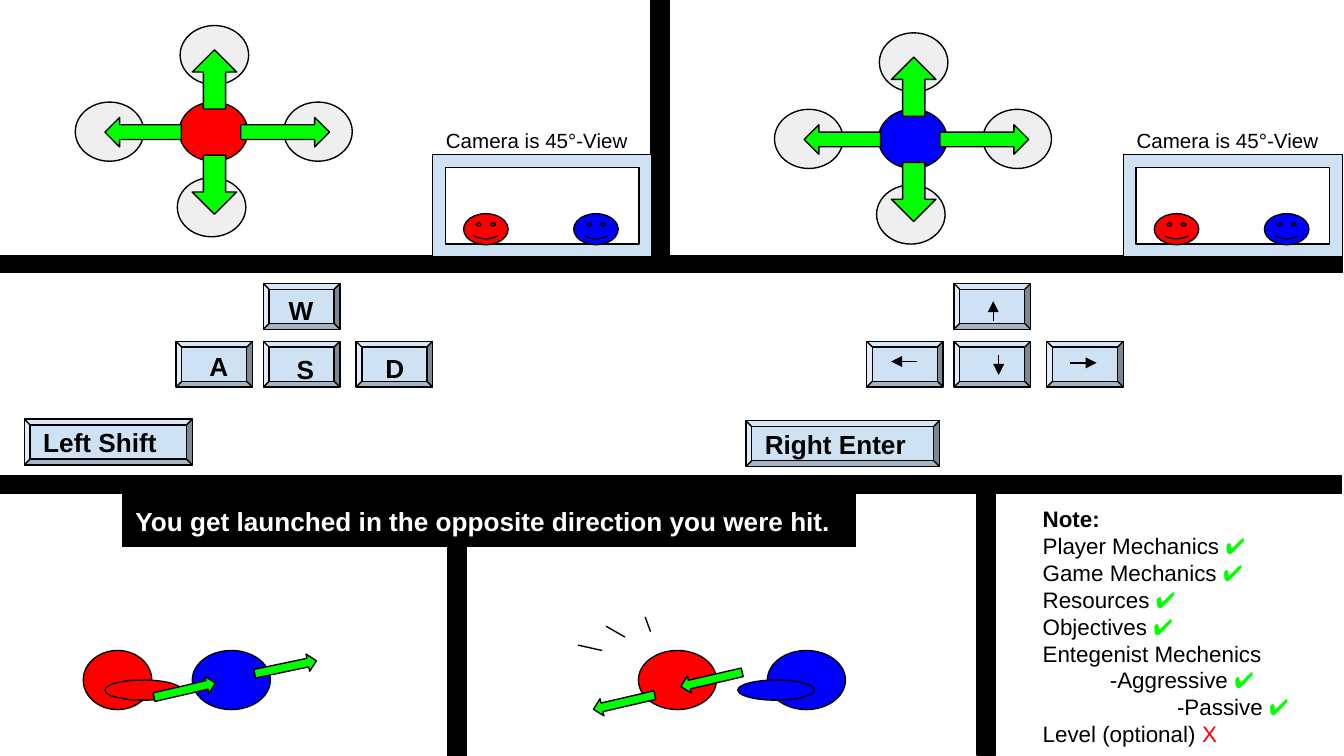
from dataclasses import dataclass
from typing import NamedTuple

from lxml import etree
from pptx import Presentation
from pptx.dml.color import RGBColor
from pptx.enum.shapes import MSO_CONNECTOR, MSO_SHAPE
from pptx.enum.text import MSO_ANCHOR, PP_ALIGN
from pptx.oxml.ns import qn
from pptx.util import Pt

RECTANGLE, OVAL, BEVEL = MSO_SHAPE.RECTANGLE, MSO_SHAPE.OVAL, MSO_SHAPE.BEVEL
FRAME, SMILEY = MSO_SHAPE.FRAME, MSO_SHAPE.SMILEY_FACE
UP, DOWN = MSO_SHAPE.UP_ARROW, MSO_SHAPE.DOWN_ARROW
LEFT, RIGHT = MSO_SHAPE.LEFT_ARROW, MSO_SHAPE.RIGHT_ARROW
STRAIGHT = MSO_CONNECTOR.STRAIGHT
ALIGN_LEFT = PP_ALIGN.LEFT
TOP, MIDDLE = MSO_ANCHOR.TOP, MSO_ANCHOR.MIDDLE


@dataclass(frozen=True)
class Theme:
    font: str = "Arial"
    black: str = "000000"
    white: str = "FFFFFF"
    red: str = "FF0000"
    blue: str = "0000FF"
    green: str = "00FF00"
    gray: str = "EFEFEF"
    pale_blue: str = "CFE2F3"
    line_width: float = 0.75
    inset: float = 7.2
    caption: int = 11
    note: int = 12
    heading: int = 14


class Box(NamedTuple):
    left: float
    top: float
    width: float
    height: float

    def moved(self, x: float, y: float):
        return self._replace(left=self.left + x, top=self.top + y)


class Part(NamedTuple):
    kind: int
    box: Box
    color: str
    rotation: float = 0


class Stroke(NamedTuple):
    start: tuple
    end: tuple
    arrow: bool = False


class Label(NamedTuple):
    text: str
    box: Box


class NoteLine(NamedTuple):
    text: str
    mark: str = ""
    color: str = ""
    indent: float = 0
    bold: bool = False


THEME = Theme()
CHECK = ("✔", THEME.green)

BARS = [Box(0, 136.8, 719.3, 9.4), Box(348.5, 0, 10.1, 141),
        Box(523.4, 263.5, 10.1, 141), Box(-0.7, 254.9, 719.3, 9.4),
        Box(239.8, 264.2, 10.1, 141)]

PLAYER_SHIFT = 370
CAMERA = Box(231.8, 82.8, 117.4, 54.7)
FACES = [(307.4, THEME.blue), (248.4, THEME.red)]

KEY_WIDTH, KEY_HEIGHT = 41, 24.5
KEY_CORNERS = [(141.1, 151.9), (94.3, 182.9), (141.1, 182.9), (190.8, 182.9)]
KEY_LETTERS = [Label("W", Box(147.6, 150.5, 28, 21)), Label("A", Box(105.1, 180.7, 28, 21)),
               Label("S", Box(151.9, 182.2, 28, 21)), Label("D", Box(199.4, 181.4, 28, 24.5))]
KEY_ARROWS = [Stroke((532.1, 172.1), (532.1, 161.3), True),
              Stroke((535, 190.1), (535, 200.9), True),
              Stroke((491, 193.7), (477.4, 193.7), True),
              Stroke((573.1, 194.4), (587.5, 194.4), True)]
WIDE_KEYS = [Label("Left Shift", Box(13, 224.6, 90, 24.5)),
             Label("Right Enter", Box(399.6, 225.4, 103.7, 24.5))]

CIRCLE_WIDTH, CIRCLE_HEIGHT = 36.7, 31.7
RING_OFFSETS = [(0.5, -41), (-55.7, 0), (-1, 40.5), (56, 0)]
MOVE_ARROWS = [(DOWN, Box(7, 28.4, 23.8, 31.7)), (LEFT, Box(-39.8, 8.2, 41, 15.8)),
               (RIGHT, Box(33, 8.2, 47.5, 15.8)), (UP, Box(7, -28, 23.8, 31.7))]

BODY_TOP, FIST_TOP, BODY_WIDTH = 348.5, 364.3, 41.8
ARROW_WIDTH, ARROW_HEIGHT = 33.8, 9.4


def body(left: float, color: str, width: float = BODY_WIDTH) -> Part:
    return Part(OVAL, Box(left, BODY_TOP, width, CIRCLE_HEIGHT), color)


def fist(left: float, color: str) -> Part:
    return Part(OVAL, Box(left, FIST_TOP, 41, 10.8), color)


def hit_arrow(kind: int, left: float, top: float, rotation: float = 347) -> Part:
    return Part(kind, Box(left, top, ARROW_WIDTH, ARROW_HEIGHT), THEME.green, rotation)


FIGHT = [body(44.6, THEME.red, CIRCLE_WIDTH), fist(56.2, THEME.red), body(103, THEME.blue),
         body(411.1, THEME.blue), fist(395.3, THEME.blue), body(342, THEME.red),
         hit_arrow(RIGHT, 82.1, 365), hit_arrow(LEFT, 364.3, 359.3),
         hit_arrow(RIGHT, 136.1, 352.8, 348.2), hit_arrow(LEFT, 317.5, 371.5)]
IMPACT = [Stroke((348.5, 338.4), (345.6, 330.5)), Stroke((334.8, 341.3), (324.7, 335.5)),
          Stroke((322.6, 348.5), (309.6, 345.6))]

BANNER = Label("You get launched in the opposite direction you were hit.",
               Box(65.5, 263.5, 393.1, 29.5))
NOTE_BOX = Box(551.5, 263.5, 162.7, 140.4)
NOTES = [NoteLine("Note:", bold=True), NoteLine("Player Mechanics ", *CHECK),
         NoteLine("Game Mechanics ", *CHECK), NoteLine("Resources ", *CHECK),
         NoteLine("Objectives ", *CHECK), NoteLine("Entegenist Mechenics"),
         NoteLine("-Aggressive ", *CHECK, indent=36), NoteLine("-Passive ", *CHECK, indent=72),
         NoteLine("Level (optional) ", "X", THEME.red)]


def lengths(box: Box) -> list:
    return [Pt(value) for value in box]


def rgb(color: str) -> RGBColor:
    return RGBColor.from_string(color)


def draw_part(slide, part: Part, outlined: bool = True):
    shape = slide.shapes.add_shape(part.kind, *lengths(part.box))
    shape.shadow.inherit = False
    shape.rotation = part.rotation
    shape.fill.solid()
    shape.fill.fore_color.rgb = rgb(part.color)
    if outlined:
        shape.line.color.rgb = rgb(THEME.black)
        shape.line.width = Pt(THEME.line_width)
    else:
        shape.line.fill.background()
    return shape


def draw_stroke(slide, stroke: Stroke) -> None:
    ends = [Pt(value) for value in (*stroke.start, *stroke.end)]
    connector = slide.shapes.add_connector(STRAIGHT, *ends)
    connector.line.color.rgb = rgb(THEME.black)
    connector.line.width = Pt(THEME.line_width)
    if stroke.arrow:
        etree.SubElement(connector.line._get_or_add_ln(), qn("a:tailEnd"), type="triangle")
    etree.SubElement(connector._element.spPr, qn("a:effectLst"))


def set_frame(shape, anchor=TOP):
    margins = dict.fromkeys(("margin_left", "margin_top", "margin_right", "margin_bottom"),
                            Pt(THEME.inset))
    for name, value in {**margins, "word_wrap": True, "vertical_anchor": anchor}.items():
        setattr(shape.text_frame, name, value)
    return shape.text_frame


def add_run(paragraph, text: str, size: int, bold: bool = True, color: str = THEME.black) -> None:
    paragraph.alignment = ALIGN_LEFT
    run = paragraph.add_run()
    run.text = text
    for name, value in {"name": THEME.font, "size": Pt(size), "bold": bold}.items():
        setattr(run.font, name, value)
    run.font.color.rgb = rgb(color)


def draw_label(slide, label: Label, size: int = THEME.heading, bold: bool = True) -> None:
    shape = slide.shapes.add_textbox(*lengths(label.box))
    add_run(set_frame(shape).paragraphs[0], label.text, size, bold)


def draw_camera(slide, shift: float) -> None:
    draw_part(slide, Part(FRAME, CAMERA.moved(shift, 0), THEME.pale_blue))
    for left, color in FACES:
        draw_part(slide, Part(SMILEY, Box(left + shift, 114.5, 23.8, 16.6), color))
    caption = Box(CAMERA.left + shift, 61.9, CAMERA.width, 24.5)
    draw_label(slide, Label("Camera is 45°-View", caption), THEME.caption, False)


def draw_moves(slide, x: float, y: float, color: str) -> None:
    """Draw a player with the four places it can move to."""
    circle = Box(x, y, CIRCLE_WIDTH, CIRCLE_HEIGHT)
    draw_part(slide, Part(OVAL, circle, color))
    for offset in RING_OFFSETS:
        draw_part(slide, Part(OVAL, circle.moved(*offset), THEME.gray))
    for kind, box in MOVE_ARROWS:
        draw_part(slide, Part(kind, box.moved(x, y), THEME.green))


def draw_notes(slide) -> None:
    frame = set_frame(slide.shapes.add_textbox(*lengths(NOTE_BOX)))
    for index, note in enumerate(NOTES):
        paragraph = frame.add_paragraph() if index else frame.paragraphs[0]
        add_run(paragraph, note.text, THEME.note, note.bold)
        if note.mark:
            add_run(paragraph, note.mark, THEME.note, False, note.color)
        if note.indent:
            paragraph._p.get_or_add_pPr().set("marL", str(Pt(note.indent)))


def main() -> None:
    presentation = Presentation()
    presentation.slide_width, presentation.slide_height = Pt(720), Pt(405)
    slide = presentation.slides.add_slide(presentation.slide_layouts[6])
    for bar in BARS:
        draw_part(slide, Part(RECTANGLE, bar, THEME.black))
    for shift in (0, PLAYER_SHIFT):
        draw_camera(slide, shift)
        for left, top in KEY_CORNERS:
            draw_part(slide, Part(BEVEL, Box(left + shift, top, KEY_WIDTH, KEY_HEIGHT),
                                  THEME.pale_blue))
    for letter in KEY_LETTERS:
        draw_label(slide, letter)
    for key in WIDE_KEYS:
        shape = draw_part(slide, Part(BEVEL, key.box, THEME.pale_blue))
        add_run(set_frame(shape, MIDDLE).paragraphs[0], key.text, THEME.heading)
    draw_moves(slide, 96, 54.7, THEME.red)
    draw_moves(slide, 470.6, 58.6, THEME.blue)
    for part in FIGHT:
        draw_part(slide, part)
    for stroke in KEY_ARROWS + IMPACT:
        draw_stroke(slide, stroke)
    banner = draw_part(slide, Part(RECTANGLE, BANNER.box, THEME.black), outlined=False)
    add_run(set_frame(banner).paragraphs[0], BANNER.text, THEME.heading, color=THEME.white)
    draw_notes(slide)
    presentation.save("out.pptx")


if __name__ == "__main__":
    main()
